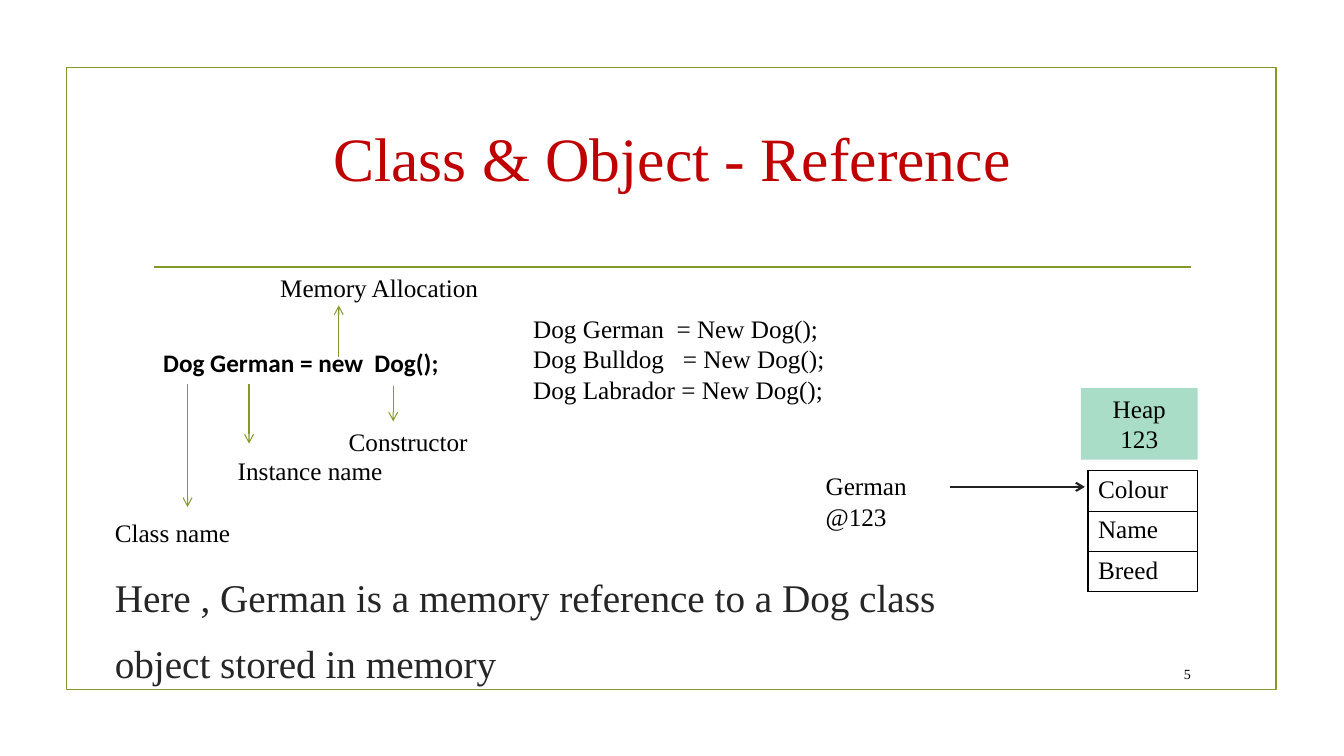
import pptx
import pptx.util
import pptx.dml.color
import pptx.enum.shapes
import pptx.enum.text
import pptx.oxml.ns
import lxml.etree

Inches = pptx.util.Inches
Pt = pptx.util.Pt
RGBColor = pptx.dml.color.RGBColor
Align = pptx.enum.text.PP_ALIGN
Anchor = pptx.enum.text.MSO_ANCHOR
Shape = pptx.enum.shapes.MSO_SHAPE
qualified = pptx.oxml.ns.qn

OLIVE = RGBColor(0x83, 0x99, 0x2A)
RED = RGBColor(0xC0, 0x00, 0x00)
BLACK = RGBColor(0x00, 0x00, 0x00)
CHARCOAL = RGBColor(0x26, 0x26, 0x26)
INK = RGBColor(0x21, 0x21, 0x21)
MINT = RGBColor(0xA9, 0xDD, 0xC7)
SERIF = "Times New Roman"

TITLE = "Class & Object - Reference"
STATEMENT = "Dog German = new  Dog();"
EXAMPLES = [
    "Dog German  = New Dog();",
    "Dog Bulldog   = New Dog();",
    "Dog Labrador = New Dog();",
]
SUMMARY = [
    "Here , German is a memory reference to a Dog class",
    "object stored in memory",
]
LABELS = [
    ("Memory Allocation", 2.68, 2.65, 2.51),
    ("Constructor", 3.36, 4.18, 1.64),
    ("Instance name", 2.26, 4.47, 1.64),
    ("Class name", 1.04, 5.08, 1.64),
]
LABEL_ARROWS = [
    (1.86, 3.81, 5.03),
    (2.47, 3.81, 4.4),
    (3.36, 3.54, 3.03),
    (3.9, 3.83, 4.18),
]
HEAP = ["Heap", "123"]
FIELDS = ["Colour", "Name", "Breed"]
FIELD_HEIGHT = 0.4


def write(frame, lines, size=18, color=BLACK, font=SERIF, bold=False,
          align=Align.LEFT, anchor=Anchor.TOP, gap=0):
    frame.word_wrap = True
    frame.vertical_anchor = anchor
    for index, line in enumerate(lines):
        para = frame.paragraphs[0] if index == 0 else frame.add_paragraph()
        para.text = line
        para.alignment = align
        if index:
            para.space_before = Pt(gap)
        para.font.name = font
        para.font.size = Pt(size)
        para.font.bold = bold
        para.font.color.rgb = color


def add_text(page, lines, left, top, width, height, **style):
    box = page.shapes.add_textbox(Inches(left), Inches(top), Inches(width), Inches(height))
    write(box.text_frame, lines, **style)


def add_rectangle(page, left, top, width, height):
    box = page.shapes.add_shape(
        Shape.RECTANGLE, Inches(left), Inches(top), Inches(width), Inches(height))
    box.shadow.inherit = False
    return box


def add_line(page, start, end, color, weight, arrow=False):
    line = page.shapes.add_connector(
        pptx.enum.shapes.MSO_CONNECTOR.STRAIGHT, *map(Inches, start + end))
    line.line.color.rgb = color
    line.line.width = Pt(weight)
    if arrow:
        lxml.etree.SubElement(line.line._get_or_add_ln(), qualified("a:tailEnd"), type="arrow")
    lxml.etree.SubElement(line._element.spPr, qualified("a:effectLst"))


def border_cell(cell):
    properties = cell._tc.get_or_add_tcPr()
    for side in ("a:lnL", "a:lnR", "a:lnT", "a:lnB"):
        edge = lxml.etree.SubElement(properties, qualified(side), w=str(Pt(1)))
        fill = lxml.etree.SubElement(edge, qualified("a:solidFill"))
        lxml.etree.SubElement(fill, qualified("a:srgbClr"), val=str(BLACK))


def add_fields(page, left, top, width):
    table = page.shapes.add_table(
        len(FIELDS), 1, Inches(left), Inches(top), Inches(width),
        Inches(FIELD_HEIGHT * len(FIELDS))).table
    table.first_row = False
    table.horz_banding = False
    for row, field in enumerate(FIELDS):
        cell = table.cell(row, 0)
        border_cell(cell)
        cell.fill.background()
        write(cell.text_frame, [field])


def main():
    deck = pptx.Presentation()
    deck.slide_width = Inches(13.33)
    deck.slide_height = Inches(7.5)
    page = deck.slides.add_slide(deck.slide_layouts[6])

    border = add_rectangle(page, 0.66, 0.67, 12, 6.17)
    border.fill.background()
    border.line.color.rgb = OLIVE
    border.line.width = Pt(1.25)
    add_line(page, (1.53, 2.65), (11.81, 2.65), OLIVE, 1.25)
    add_text(page, [TITLE], 1.42, 0.84, 10.5, 1.43, size=44, color=RED,
             align=Align.CENTER, anchor=Anchor.MIDDLE)

    add_text(page, [STATEMENT], 1.52, 3.4, 4.02, 0.4, font="Calibri", bold=True)
    for label, left, top, width in LABELS:
        add_text(page, [label], left, top, width, 0.4)
    for x, start, end in LABEL_ARROWS:
        add_line(page, (x, start), (x, end), OLIVE, 0.75, arrow=True)
    add_text(page, EXAMPLES, 5.19, 3.06, 3.14, 1.31)

    add_text(page, ["German @123"], 8.09, 4.62, 1.31, 0.71)
    add_line(page, (9.42, 4.83), (10.76, 4.83), INK, 1.5, arrow=True)
    heap = add_rectangle(page, 10.72, 3.85, 1.16, 0.71)
    heap.fill.solid()
    heap.fill.fore_color.rgb = MINT
    heap.line.fill.background()
    write(heap.text_frame, HEAP, align=Align.CENTER)
    add_fields(page, 10.79, 4.67, 1.09)

    add_text(page, SUMMARY, 1.04, 5.64, 10, 1.18, size=28, color=CHARCOAL, gap=13.5)
    add_text(page, ["5"], 11.32, 6.53, 0.59, 0.31, size=10,
             align=Align.RIGHT, anchor=Anchor.MIDDLE)
    deck.save("out.pptx")


if __name__ == "__main__":
    main()
